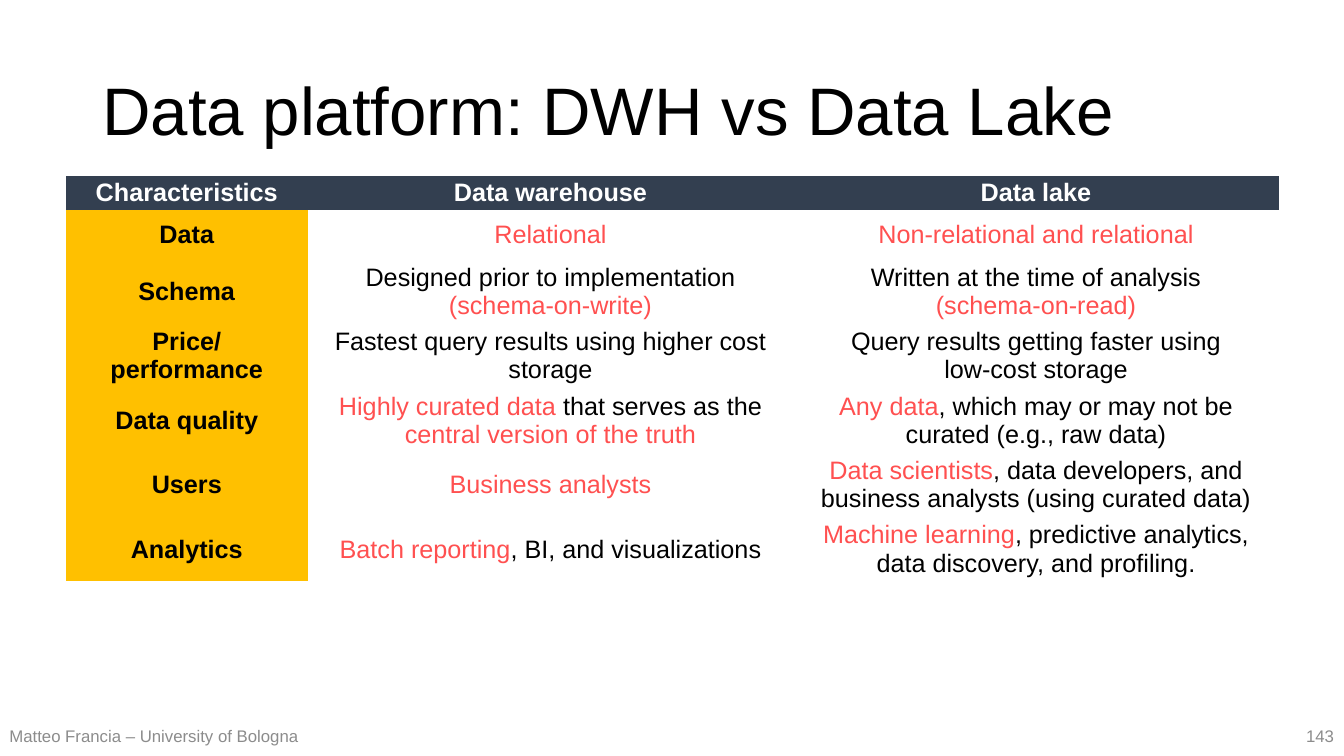
from pptx import Presentation
from pptx.util import Pt
from pptx.dml.color import RGBColor
from pptx.enum import text as t

BLACK = RGBColor(0x00, 0x00, 0x00)
WHITE = RGBColor(0xFF, 0xFF, 0xFF)
RED = RGBColor(0xFF, 0x50, 0x50)
GREY = RGBColor(0x8C, 0x8C, 0x8C)
NAVY = RGBColor(0x33, 0x3F, 0x50)
AMBER = RGBColor(0xFF, 0xC0, 0x00)
NO_STYLE = "{2D5ABB26-0587-4C30-8999-92F81FD0307C}"
LEFT, CENTER, RIGHT = t.PP_ALIGN.LEFT, t.PP_ALIGN.CENTER, t.PP_ALIGN.RIGHT


def add_run(p, text, size, color, bold=False):
    r = p.add_run()
    r.text = text
    for name, value in {"name": "Arial", "size": Pt(size), "bold": bold}.items():
        setattr(r.font, name, value)
    r.font.color.rgb = color


prs = Presentation()
prs.slide_width, prs.slide_height = Pt(960), Pt(540)
s = prs.slides.add_slide(prs.slide_layouts[6])

boxes = [
    ("Data platform: DWH vs Data Lake", (66, 28.8, 828, 104.4), 48, BLACK, LEFT, 0.9),
    ("Matteo Francia – University of Bologna", (-1.5, 511.2, 223.2, 28.8), 12, GREY, CENTER, 1.0),
    ("143", (744, 511.2, 216, 28.8), 12, GREY, RIGHT, 1.0),
]
for text, place, size, color, align, spacing in boxes:
    tf = s.shapes.add_textbox(*[Pt(v) for v in place]).text_frame
    tf.word_wrap = True
    tf.vertical_anchor = t.MSO_ANCHOR.MIDDLE
    p = tf.paragraphs[0]
    p.alignment, p.line_spacing = align, spacing
    add_run(p, text, size, color)

# Asterisks enclose the highlighted words.
rows = [
    ("Characteristics", "Data warehouse", "Data lake"),
    ("Data", "*Relational*", "*Non-relational and relational*"),
    ("Schema", "Designed prior to implementation *(schema-on-write)*",
     "Written at the time of analysis\n*(schema-on-read)*"),
    ("Price/\nperformance", "Fastest query results using higher cost storage",
     "Query results getting faster using\nlow-cost storage"),
    ("Data quality", "*Highly curated data* that serves as the *central version of the truth*",
     "*Any data*, which may or may not be curated (e.g., raw data)"),
    ("Users", "*Business analysts*",
     "*Data scientists*, data developers, and business analysts (using curated data)"),
    ("Analytics", "*Batch reporting*, BI, and visualizations",
     "*Machine learning*, predictive analytics, data discovery, and profiling."),
]
widths = [172.8, 346.8, 346.8]
heights = [23.6, 35.3] + [44.2] * 5
margins = {"margin_left": 3, "margin_right": 3, "margin_top": 1.4, "margin_bottom": 1.4}

frame = s.shapes.add_table(len(rows), len(widths), Pt(47), Pt(125.6),
                           Pt(sum(widths)), Pt(sum(heights)))
table = frame.table
table.first_row = table.horz_banding = False
table._tbl.tblPr[0].text = NO_STYLE
for column, width in zip(table.columns, widths):
    column.width = Pt(width)

for i, (row, height) in enumerate(zip(rows, heights)):
    table.rows[i].height = Pt(height)
    for j, content in enumerate(row):
        cell = table.cell(i, j)
        cell.vertical_anchor = t.MSO_ANCHOR.MIDDLE
        for name, value in margins.items():
            setattr(cell, name, Pt(value))
        if i == 0 or j == 0:
            cell.fill.solid()
            cell.fill.fore_color.rgb = NAVY if i == 0 else AMBER
        else:
            cell.fill.background()
        p = cell.text_frame.paragraphs[0]
        p.alignment = CENTER
        for k, part in enumerate(content.split("*")):
            color = RED if k % 2 else WHITE if i == 0 else BLACK
            for n, line in enumerate(part.split("\n")):
                if n:
                    p.add_line_break()
                if line:
                    add_run(p, line, 18, color, i == 0 or j == 0)

prs.save("out.pptx")
